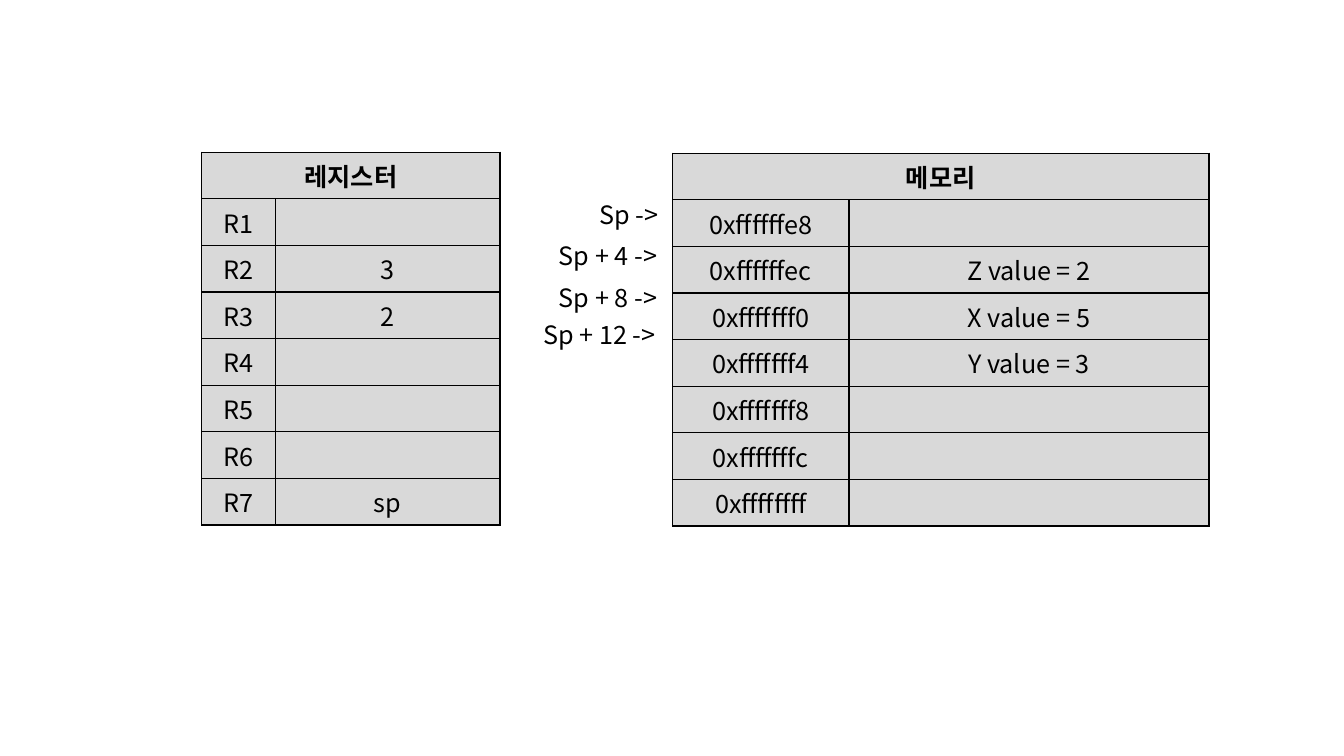
from lxml.etree import SubElement
from pptx import Presentation
from pptx.dml.color import RGBColor
from pptx.enum.text import MSO_AUTO_SIZE, MSO_ANCHOR, PP_ALIGN
from pptx.oxml import parse_xml
from pptx.oxml.ns import nsdecls, qn
from pptx.util import Inches, Pt

BLACK = RGBColor(0, 0, 0)
GREY = RGBColor(0xD9, 0xD9, 0xD9)
FACE = "Noto Sans CJK KR"
FORMAT = {"name": FACE, "size": Pt(18), "bold": False}

deck = Presentation()
deck.slide_width, deck.slide_height = Inches(13.33), Inches(7.5)
slide = deck.slides.add_slide(deck.slide_layouts[6])
COL, ROW = deck.slide_width / 100, deck.slide_height / 100


def write(frame, text, bold=False):
    para = frame.paragraphs[0]
    para.alignment = PP_ALIGN.CENTER
    run = para.add_run()
    run.text = text
    for key, value in {**FORMAT, "bold": bold}.items():
        setattr(run.font, key, value)
    run.font.color.rgb = BLACK
    SubElement(run.font._element, qn("a:ea"), typeface=FACE)


def border(cell):
    props = cell._tc.get_or_add_tcPr()
    for spot, side in enumerate(("lnL", "lnR", "lnT", "lnB")):
        props.insert(spot, parse_xml(
            f'<a:{side} {nsdecls("a")} w="{Pt(1)}"><a:solidFill>'
            f'<a:srgbClr val="{BLACK}"/></a:solidFill></a:{side}>'))


files = [(f"R{n}", value) for n, value in
         enumerate(("", "3", "2", "", "", "", "sp"), 1)]
cells = [(f"0xffffff{end}", value) for end, value in
         zip(("e8", "ec", "f0", "f4", "f8", "fc", "ff"),
             ("", "Z value = 2", "X value = 5", "Y value = 3", "", "", ""))]
tables = [
    ("레지스터", 15, 20.13, (5.48, 16.73), files),
    ("메모리", 50.04, 20.27, (13.13, 26.78), cells),
]
for head, left, top, widths, body in tables:
    rows = [(head, ""), *body]
    grid = slide.shapes.add_table(
        len(rows), len(widths), int(left * COL), int(top * ROW),
        int(sum(widths) * COL), int(5.4 * ROW * len(rows))).table
    for column, width in zip(grid.columns, widths):
        column.width = int(width * COL)
    grid.cell(0, 0).merge(grid.cell(0, 1))
    for r, row in enumerate(rows):
        for c, text in enumerate(row):
            cell = grid.cell(r, c)
            cell.fill.solid()
            cell.fill.fore_color.rgb = GREY
            border(cell)
            if text:
                write(cell.text_frame, text, bold=r == 0)

labels = [
    ("Sp ->", 43.06, 25.73, 7.5),
    ("Sp + 4 ->", 39.61, 31.07, 11.25),
    ("Sp + 8 ->", 39.61, 36.67, 11.25),
    ("Sp + 12 ->", 38.33, 41.6, 12.53),
]
LAYOUT = {"word_wrap": True, "auto_size": MSO_AUTO_SIZE.SHAPE_TO_FIT_TEXT,
          "vertical_anchor": MSO_ANCHOR.TOP}
for text, left, top, width in labels:
    frame = slide.shapes.add_textbox(
        int(left * COL), int(top * ROW),
        int(width * COL), int(5.33 * ROW)).text_frame
    for key, value in LAYOUT.items():
        setattr(frame, key, value)
    write(frame, text)

deck.save("out.pptx")
